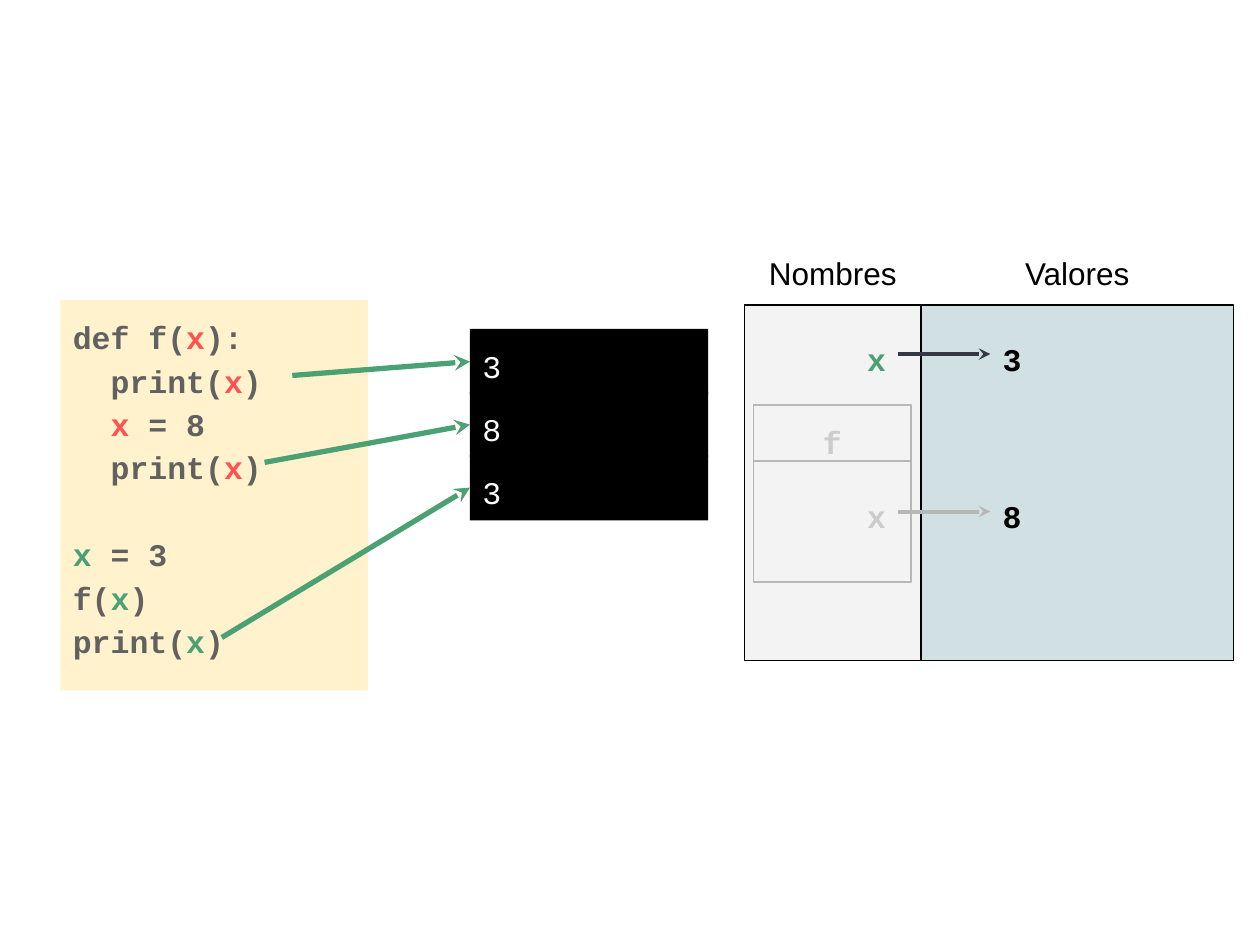
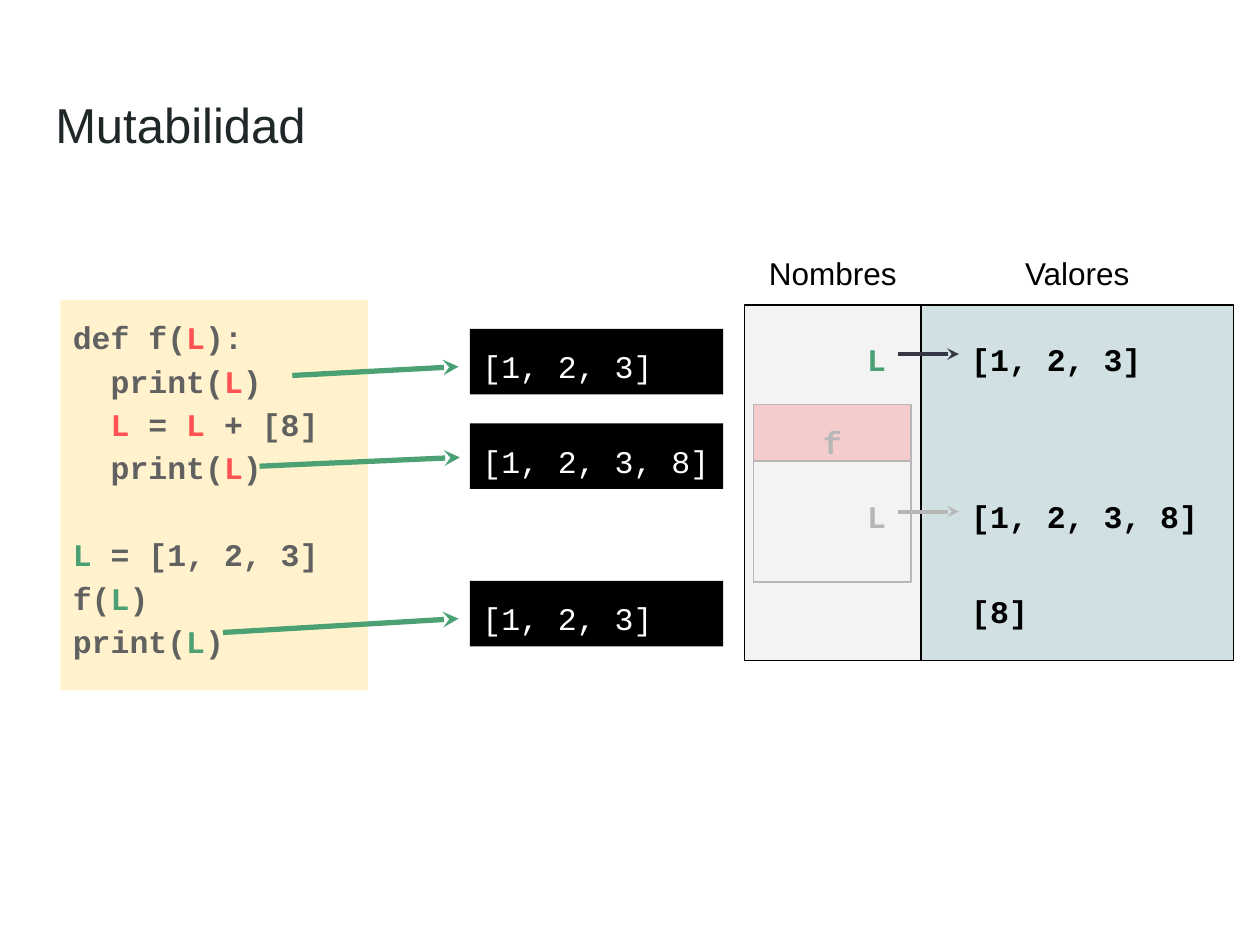
"""Build two slides that compare names and values in Python function calls."""
from lxml import etree
from pptx import Presentation
from pptx import util as u
from pptx.dml.color import RGBColor
from pptx.enum import shapes, text
from pptx.oxml.ns import qn

PX = 9144
CODE, SANS = "Courier New", "Arial"
BLACK = RGBColor(0x00, 0x00, 0x00)
WHITE = RGBColor(0xFF, 0xFF, 0xFF)
INK = RGBColor(0x20, 0x27, 0x29)
GREY = RGBColor(0x61, 0x61, 0x61)
SLATE = RGBColor(0x35, 0x37, 0x44)
SILVER = RGBColor(0xB7, 0xB7, 0xB7)
PALE = RGBColor(0xCC, 0xCC, 0xCC)
LOCAL = RGBColor(0xFF, 0x52, 0x52)
OUTER = RGBColor(0x4B, 0xA1, 0x73)
CREAM = RGBColor(0xFF, 0xF2, 0xCC)
MIST = RGBColor(0xF3, 0xF3, 0xF3)
TEAL = RGBColor(0xD0, 0xE0, 0xE3)
PINK = RGBColor(0xF4, 0xCC, 0xCC)
LEFT, CENTER, RIGHT = text.PP_ALIGN.LEFT, text.PP_ALIGN.CENTER, text.PP_ALIGN.RIGHT
TOP, BOTTOM = text.MSO_ANCHOR.TOP, text.MSO_ANCHOR.BOTTOM
LEFT_SIDE, RIGHT_SIDE = 1, 3


def box(s, at, lines="", fill=None, line=None, font=CODE, size=18, color=BLACK,
        bold=False, align=LEFT, anchor=TOP, spacing=1.15, name=None, gap_at=None):
    at = [n * PX for n in at]
    if fill is None and line is None:
        sp = s.shapes.add_textbox(*at)
    else:
        sp = s.shapes.add_shape(shapes.MSO_SHAPE.RECTANGLE, *at)
        sp.shadow.inherit = False
        if fill is None:
            sp.fill.background()
        else:
            sp.fill.solid()
            sp.fill.fore_color.rgb = fill
        if line is None:
            sp.line.fill.background()
        else:
            sp.line.color.rgb = line
            sp.line.width = u.Pt(0.75)
    tf = sp.text_frame
    tf.word_wrap = True
    tf.vertical_anchor = anchor
    tf.margin_left = tf.margin_right = tf.margin_top = tf.margin_bottom = 10 * PX
    if isinstance(lines, str):
        lines = [(lines, color)]
    for i, (content, name_color) in enumerate(lines):
        p = tf.add_paragraph() if i else tf.paragraphs[0]
        p.alignment = align
        p.line_spacing = spacing
        if i == gap_at:
            p.space_before = u.Pt(24.8)
        pieces = content.split(name) if name else [content]
        for j, piece in enumerate(pieces):
            for part, tint in ((name if j else "", name_color), (piece, color)):
                if part:
                    r = p.add_run()
                    r.text = part
                    r.font.name = font
                    r.font.size = u.Pt(size)
                    r.font.bold = bold
                    r.font.color.rgb = tint
    return sp


def arrow(s, start, end, color, width):
    c = s.shapes.add_connector(shapes.MSO_CONNECTOR.STRAIGHT, *[n * PX for n in start + end])
    c.line.color.rgb = color
    c.line.width = u.Pt(width)
    etree.SubElement(c.line._get_or_add_ln(), qn("a:tailEnd"), type="stealth")
    etree.SubElement(c._element.spPr, qn("a:effectLst"))
    return c


SLIDES = [
    dict(title=None, name="x", value="3", change="x = 8",
         outputs=["3", "8", "3"], output_tops=[261, 311, 361], output_width=189,
         starts=[(232, 298), (210, 367), (176, 506)], ends=None,
         values=[("3", 255), ("8", 380)], value_left=786, value_width=108,
         frame_fill=None, frame_color=PALE),
    dict(title="Mutabilidad", name="L", value="[1, 2, 3]", change="L = L + [8]",
         outputs=["[1, 2, 3]", "[1, 2, 3, 8]", "[1, 2, 3]"],
         output_tops=[261, 336, 461], output_width=201,
         starts=[(232, 298), (206, 370), (177, 502)],
         ends=[(364, 291), (365, 363), (364, 491)],
         values=[("[1, 2, 3]", 255), ("[1, 2, 3, 8]", 380), ("[8]", 455)],
         value_left=761, value_width=201, frame_fill=PINK, frame_color=SILVER),
]

prs = Presentation()
prs.slide_width, prs.slide_height = 1000 * PX, 750 * PX

for d in SLIDES:
    s = prs.slides.add_slide(prs.slide_layouts[6])
    name = d["name"]
    if d["title"]:
        box(s, (34, 65, 932, 83), d["title"], font=SANS, size=28, color=INK, spacing=1.0)

    code = [(f"def f({name}):", LOCAL), (f"  print({name})", LOCAL),
            (f"  {d['change']}", LOCAL), (f"  print({name})", LOCAL),
            (f"{name} = {d['value']}", OUTER), (f"f({name})", OUTER),
            (f"print({name})", OUTER)]
    box(s, (48, 238, 244, 310), code, fill=CREAM, color=GREY, bold=True, name=name, gap_at=4)

    for label, left, width, fill in (("Nombres", 591, 140, MIST), ("Valores", 731, 248, TEAL)):
        box(s, (left, 242, width, 282), fill=fill, line=BLACK)
        box(s, (left, 181, width, 61), label, font=SANS, align=CENTER, anchor=BOTTOM, spacing=1.0)

    box(s, (598, 322, 125, 140), line=SILVER)
    box(s, (598, 321, 125, 45), "f", fill=d["frame_fill"], line=SILVER,
        color=d["frame_color"], bold=True, align=CENTER)

    values = [box(s, (d["value_left"], top, d["value_width"], 52), value, bold=True)
              for value, top in d["values"]]
    scopes = ((255, OUTER, SLATE), (380, d["frame_color"], SILVER))
    for (top, color, arrow_color), value in zip(scopes, values):
        sp = box(s, (605, top, 108, 52), name, color=color, bold=True, align=RIGHT)
        c = arrow(s, (713, top + 26), (d["value_left"], top + 26), arrow_color, 2.25)
        c.begin_connect(sp, RIGHT_SIDE)
        c.end_connect(value, LEFT_SIDE)

    for i, (output, top, start) in enumerate(zip(d["outputs"], d["output_tops"], d["starts"])):
        sp = box(s, (373, top, d["output_width"], 52), output, fill=BLACK, color=WHITE)
        if d["ends"]:
            arrow(s, start, d["ends"][i], OUTER, 3)
        else:
            arrow(s, start, (373, top + 26), OUTER, 3).end_connect(sp, LEFT_SIDE)

prs.save("out.pptx")
